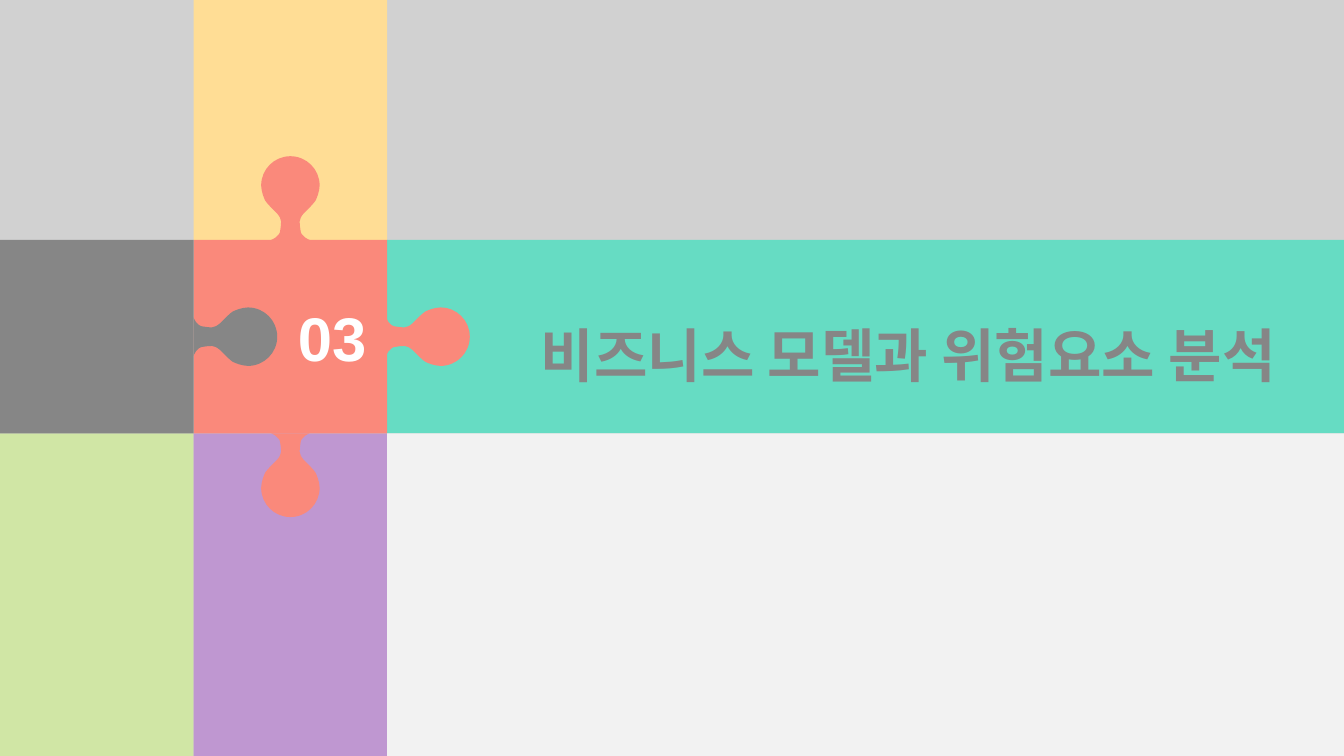
"""Section divider: a jigsaw piece where coloured bands cross."""
from lxml import etree
from pptx import Presentation, util as u
from pptx.dml.color import RGBColor
from pptx.enum import shapes, text
from pptx.oxml import ns

WIDTH, HEIGHT = 13.33, 7.5
COLUMNS = (0, 1.92, 3.84, WIDTH)
ROWS = (0, 2.38, 4.3, HEIGHT)
CORAL, GRAY, WHITE = "FA897B", "868686", "FFFFFF"
HALF_KNOB = (
    (0, 0.19), (0, 0.19), (0.03, 0.1), (0.1, 0.1),
    (0.17, 0.09), (0.2, 0.08), (0.26, 0.13),
    (0.33, 0.2), (0.36, 0.23), (0.39, 0.25),
    (0.41, 0.26), (0.48, 0.29), (0.54, 0.29),
    (0.7, 0.29), (0.83, 0.16), (0.83, 0),
)
KNOB = HALF_KNOB + tuple((along, -across) for along, across in HALF_KNOB[-2::-1])


def color(code):
    return RGBColor.from_string(code)


def paint(shape, fill):
    shape.shadow.inherit = False
    shape.fill.solid()
    shape.fill.fore_color.rgb = color(fill)
    shape.line.fill.background()


def add_band(slide, column, row, fill, columns=1, rows=1):
    left, right = COLUMNS[column], COLUMNS[column + columns]
    top, bottom = ROWS[row], ROWS[row + rows]
    band = slide.shapes.add_shape(
        shapes.MSO_SHAPE.RECTANGLE, u.Inches(left), u.Inches(top),
        u.Inches(right - left), u.Inches(bottom - top))
    paint(band, fill)


def bend(outline):
    """Turn each three line segments into one cubic curve."""
    segments = list(outline.iter(ns.qn("a:lnTo")))
    for controls in zip(*[iter(segments)] * 3):
        curve = etree.Element(ns.qn("a:cubicBezTo"))
        controls[0].addprevious(curve)
        for segment in controls:
            curve.append(segment[0])
            segment.getparent().remove(segment)


def add_knob(slide, x, y, dx, dy, fill):
    points = [(u.Inches(x + along * dx - across * dy),
               u.Inches(y + along * dy + across * dx))
              for along, across in KNOB]
    builder = slide.shapes.build_freeform(*points[0], scale=1.0)
    builder.add_line_segments(points[1:], close=True)
    knob = builder.convert_to_shape()
    bend(knob.element)
    paint(knob, fill)


def add_label(slide, words, left, top, width, height, size, ink, spacing=1.0):
    box = slide.shapes.add_textbox(*map(u.Inches, (left, top, width, height)))
    frame = box.text_frame
    frame.word_wrap = True
    frame.auto_size = text.MSO_AUTO_SIZE.SHAPE_TO_FIT_TEXT
    frame.vertical_anchor = text.MSO_ANCHOR.MIDDLE
    frame.margin_left = frame.margin_right = 0
    frame.margin_top = frame.margin_bottom = 0
    line = frame.paragraphs[0]
    line.text = words
    line.alignment = text.PP_ALIGN.CENTER
    line.line_spacing = spacing
    line.font.name = "Arial"
    line.font.size = u.Pt(size)
    line.font.bold = True
    line.font.color.rgb = color(ink)


def main():
    deck = Presentation()
    deck.slide_width, deck.slide_height = u.Inches(WIDTH), u.Inches(HEIGHT)
    slide = deck.slides.add_slide(deck.slide_layouts[6])
    left, right = COLUMNS[1:3]
    top, bottom = ROWS[1:3]
    center, middle = (left + right) / 2, (top + bottom) / 2

    add_band(slide, 0, 0, "D1D1D1", columns=3, rows=3)
    add_band(slide, 0, 2, "D0E6A5")
    add_band(slide, 1, 0, "FFDD95")
    add_band(slide, 1, 2, "BF97D1")
    add_band(slide, 2, 1, "66DCC3")

    add_knob(slide, right - 0.01, middle, 1, 0, CORAL)
    add_band(slide, 1, 1, CORAL)
    add_knob(slide, center, bottom, 0, 1, CORAL)
    add_knob(slide, center, top, 0, -1, CORAL)

    add_band(slide, 0, 1, GRAY)
    add_knob(slide, left, middle, 1, 0, GRAY)

    add_label(slide, "비즈니스 모델과 위험요소 분석",
              4.68, 2.82, 8.66, 1.04, 41.5, GRAY, spacing=1.5)
    add_label(slide, "03", 2.75, 2.97, 1.09, 0.74, 44, WHITE)
    add_band(slide, 2, 2, "F2F2F2")
    deck.save("out.pptx")


if __name__ == "__main__":
    main()
